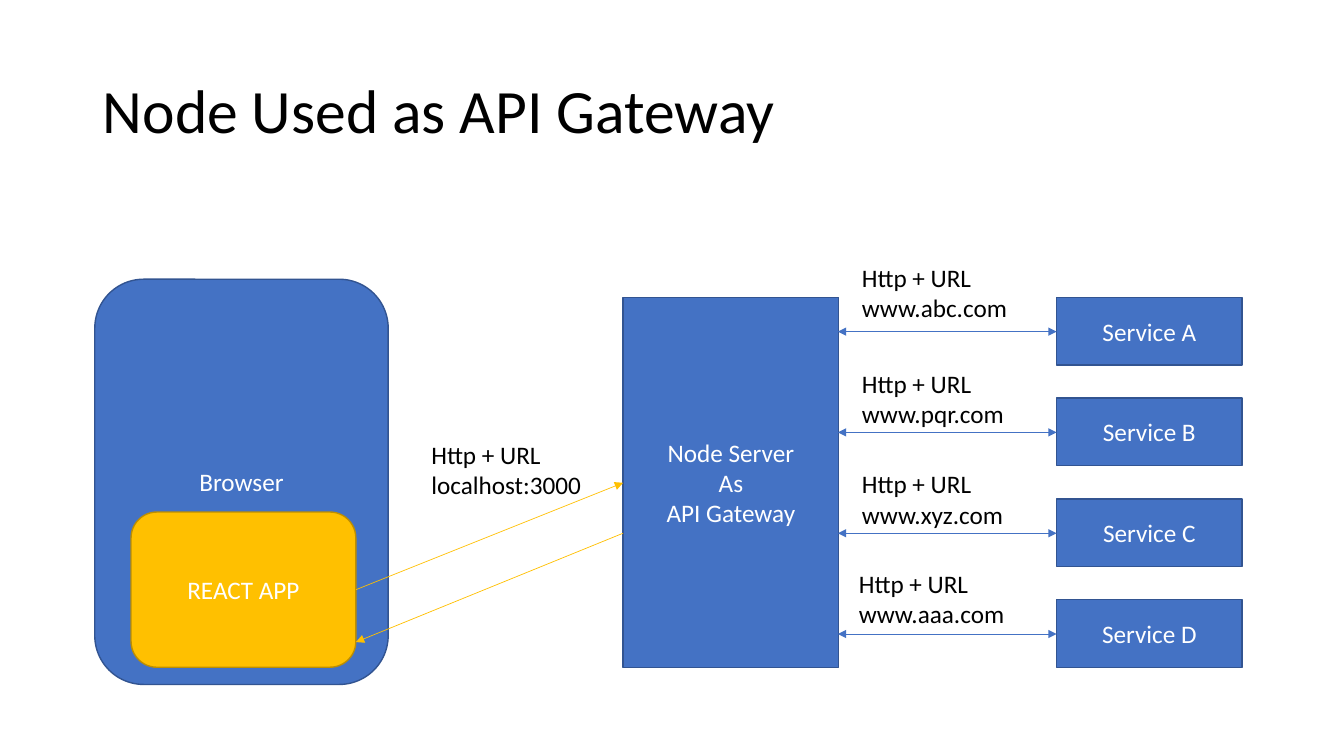
from lxml import etree
from pptx import Presentation
from pptx.dml.color import RGBColor
from pptx.enum.shapes import MSO_CONNECTOR, MSO_SHAPE
from pptx.enum.text import MSO_ANCHOR, MSO_AUTO_SIZE, PP_ALIGN
from pptx.oxml.ns import qn
from pptx.util import Pt

PX = 9144
RECT, ROUND = MSO_SHAPE.RECTANGLE, MSO_SHAPE.ROUNDED_RECTANGLE
STRAIGHT = MSO_CONNECTOR.STRAIGHT
LEFT, CENTER = PP_ALIGN.LEFT, PP_ALIGN.CENTER
MIDDLE = MSO_ANCHOR.MIDDLE
NO_FIT, GROW = MSO_AUTO_SIZE.NONE, MSO_AUTO_SIZE.SHAPE_TO_FIT_TEXT

BLACK = RGBColor(0x00, 0x00, 0x00)
WHITE = RGBColor(0xFF, 0xFF, 0xFF)
BLUE = RGBColor(0x44, 0x72, 0xC4)
DARK_BLUE = RGBColor(0x32, 0x54, 0x91)
GOLD = RGBColor(0xFF, 0xC0, 0x00)
DARK_GOLD = RGBColor(0xBD, 0x8E, 0x00)


def add_lines(tf, lines, color, align, size=18):
    for i, line in enumerate(lines):
        p = tf.paragraphs[0] if i == 0 else tf.add_paragraph()
        p.alignment = align
        r = p.add_run()
        r.text = line
        r.font.name = "Calibri"
        r.font.size = Pt(size)
        r.font.color.rgb = color


prs = Presentation()
prs.slide_width, prs.slide_height = 1333 * PX, 750 * PX
s = prs.slides.add_slide(prs.slide_layouts[5])

title = s.shapes.title
title.left, title.top, title.width, title.height = 92 * PX, 40 * PX, 1150 * PX, 145 * PX
tf = title.text_frame
tf.word_wrap = True
tf.auto_size = NO_FIT
tf.vertical_anchor = MIDDLE
add_lines(tf, ["Node Used as API Gateway"], BLACK, LEFT, 44)
tf.paragraphs[0].line_spacing = 0.9

boxes = [
    (ROUND, 94, 277, 291, 402, BLUE, DARK_BLUE, ["Browser"]),
    (ROUND, 130, 508, 223, 154, GOLD, DARK_GOLD, ["REACT APP"]),
    (RECT, 618, 295, 214, 367, BLUE, DARK_BLUE, ["Node Server", "As", "API Gateway"]),
]
arrows = [
    (353, 585, 618, 479, GOLD, ["tailEnd"]),
    (618, 529, 353, 637, GOLD, ["tailEnd"]),
]
for i, name in enumerate("ABCD"):
    y = 295 + 100 * i
    boxes.append((RECT, 1048, y, 184, 67, BLUE, DARK_BLUE, [f"Service {name}"]))
    arrows.append((831, y + 34, 1048, y + 34, BLUE, ["headEnd", "tailEnd"]))

for kind, x, y, w, h, fill, line, lines in boxes:
    sp = s.shapes.add_shape(kind, x * PX, y * PX, w * PX, h * PX)
    sp.shadow.inherit = False
    sp.fill.solid()
    sp.fill.fore_color.rgb = fill
    sp.line.color.rgb = line
    sp.line.width = Pt(1)
    tf = sp.text_frame
    tf.word_wrap = True
    tf.vertical_anchor = MIDDLE
    add_lines(tf, lines, WHITE, CENTER)

for x1, y1, x2, y2, color, ends in arrows:
    cx = s.shapes.add_connector(STRAIGHT, x1 * PX, y1 * PX, x2 * PX, y2 * PX)
    cx.line.color.rgb = color
    cx.line.width = Pt(0.5)
    ln = cx.line._get_or_add_ln()
    for end in ends:
        etree.SubElement(ln, qn(f"a:{end}")).set("type", "triangle")
    etree.SubElement(cx._element.spPr, qn("a:effectLst"))

labels = [
    (418, 431, 170, "localhost:3000"),
    (845, 255, 166, "www.abc.com"),
    (845, 360, 162, "www.pqr.com"),
    (845, 460, 162, "www.xyz.com"),
    (842, 559, 166, "www.aaa.com"),
]
for x, y, w, address in labels:
    tf = s.shapes.add_textbox(x * PX, y * PX, w * PX, 71 * PX).text_frame
    tf.word_wrap = False
    tf.auto_size = GROW
    add_lines(tf, ["Http + URL", address], BLACK, LEFT)

prs.save("out.pptx")
